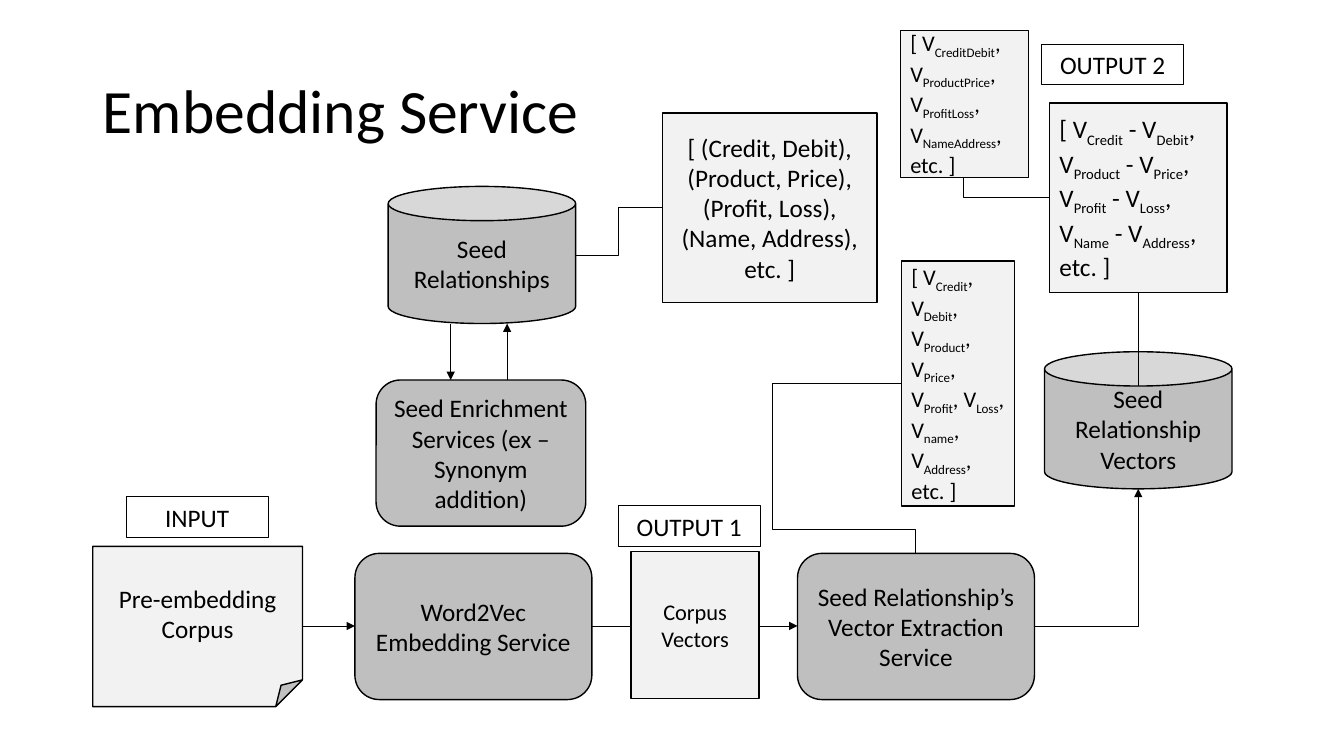
"""Builds the Embedding Service flow diagram slide."""
from typing import NamedTuple

from lxml import etree
from pptx import Presentation
from pptx.dml.color import RGBColor
from pptx.enum import shapes, text
from pptx.oxml.ns import qn
from pptx.util import Inches, Pt

FONT = "Calibri"
BLACK, GREY, PALE = "000000", "BFBFBF", "F2F2F2"
KIND = shapes.MSO_SHAPE
CENTER, LEFT = text.PP_ALIGN.CENTER, text.PP_ALIGN.LEFT
SERVICE_TOP, SERVICE_HEIGHT, FLOW_Y = 5.49, 1.45, 6.21
VECTORS_X = 11.29


class Node(NamedTuple):
    """A filled shape; text between bars is subscript."""
    wording: str
    left: float
    top: float
    width: float
    height: float
    kind: KIND = KIND.RECTANGLE
    fill: str = PALE
    size: int = 18
    align: text.PP_ALIGN = CENTER


class Link(NamedTuple):
    """A connector with its preset geometry and adjustments."""
    start: tuple[float, float]
    end: tuple[float, float]
    arrow: bool = False
    preset: str = "line"
    adjustments: tuple[int, ...] = ()


class Label(NamedTuple):
    """An outlined caption box."""
    wording: str
    left: float
    top: float


SERVICES = [
    Node("Seed Relationships", 3.85, 1.85, 1.86, 1.36, KIND.CAN, GREY),
    Node("Seed Relationship Vectors", 10.36, 3.49, 1.86, 1.36, KIND.CAN, GREY),
    Node("Seed Enrichment Services (ex – Synonym addition)",
         3.73, 3.77, 2.08, SERVICE_HEIGHT, KIND.ROUNDED_RECTANGLE, GREY),
    Node("Word2Vec Embedding Service",
         3.52, SERVICE_TOP, 2.35, SERVICE_HEIGHT, KIND.ROUNDED_RECTANGLE, GREY),
    Node("Seed Relationship’s Vector Extraction Service",
         7.91, SERVICE_TOP, 2.35, SERVICE_HEIGHT, KIND.ROUNDED_RECTANGLE, GREY),
]
LINKS = [
    Link((5.7, 2.53), (6.57, 2.06), preset="bentConnector3"),
    Link((4.47, 3.21), (4.47, 3.77), True),
    Link((5.03, 3.77), (5.03, 3.21), True),
    Link((3, FLOW_Y), (3.52, FLOW_Y), True),
    Link((5.87, FLOW_Y), (7.91, FLOW_Y), True),
    Link((10.26, FLOW_Y), (VECTORS_X, 4.85), True, "bentConnector2"),
    Link((VECTORS_X, 3.83), (VECTORS_X, 2.89)),
    Link((8.94, 3.8), (9.08, SERVICE_TOP), False, "bentConnector4", (-914000, 86000)),
    Link((10.41, 1.96), (9.56, 1.76), preset="bentConnector2"),
]
DATA = [
    Node("Pre-embedding Corpus", 0.92, 5.42, 2.08, 1.59, KIND.FOLDED_CORNER),
    Node("[ (Credit, Debit), (Product, Price), (Profit, Loss), (Name, Address), etc. ]",
         6.57, 1.12, 2.13, 1.88),
    Node("[ V|Credit| - V|Debit|, V|Product| - V|Price|, V|Profit| - V|Loss|, "
         "V|Name| - V|Address|, etc. ]", 10.41, 1.02, 1.76, 1.88, align=LEFT),
    Node("[ V|Credit|, V|Debit|, V|Product|, V|Price|, V|Profit|, V|Loss|, "
         "V|name|, V|Address|, etc. ]", 8.94, 2.59, 1.12, 2.43, size=16, align=LEFT),
    Node("[ V|CreditDebit|, V|ProductPrice|, V|ProfitLoss|, V|NameAddress|, etc. ]",
         8.93, 0.3, 1.27, 1.46, size=16, align=LEFT),
    Node("Corpus Vectors", 6.26, 5.47, 1.27, 1.46, size=16),
]
LABELS = [Label("INPUT", 1.25, 4.93), Label("OUTPUT 1", 6.13, 5.02),
          Label("OUTPUT 2", 10.33, 0.44)]


def color(value: str) -> RGBColor:
    """Turn a hex string into a colour."""
    return RGBColor.from_string(value)


def outline(line, width: float) -> None:
    """Give a line its black colour and width."""
    line.color.rgb = color(BLACK)
    line.width = Pt(width)


def write(paragraph, wording: str, size: int, align: text.PP_ALIGN) -> None:
    """Fill a paragraph, lowering the parts between bars."""
    paragraph.alignment = align
    for index, part in enumerate(wording.split("|")):
        run = paragraph.add_run()
        run.text = part
        run.font.name, run.font.size = FONT, Pt(size)
        run.font.color.rgb = color(BLACK)
        if index % 2:
            run.font._element.set("baseline", "-25000")


def draw_node(slide, node: Node) -> None:
    """Draw a filled shape with its text."""
    shape = slide.shapes.add_shape(node.kind, Inches(node.left), Inches(node.top),
                                   Inches(node.width), Inches(node.height))
    shape.shadow.inherit = False
    shape.fill.solid()
    shape.fill.fore_color.rgb = color(node.fill)
    outline(shape.line, 1)
    frame = shape.text_frame
    frame.word_wrap = True
    frame.vertical_anchor = text.MSO_ANCHOR.MIDDLE
    write(frame.paragraphs[0], node.wording, node.size, node.align)


def draw_link(slide, link: Link) -> None:
    """Draw a straight or bent connector."""
    kind = shapes.MSO_CONNECTOR.STRAIGHT if link.preset == "line" else shapes.MSO_CONNECTOR.ELBOW
    connector = slide.shapes.add_connector(kind, *map(Inches, link.start + link.end))
    outline(connector.line, 0.5)
    properties = connector._element.spPr
    geometry = properties.find(qn("a:prstGeom"))
    geometry.set("prst", link.preset)
    guides = geometry.find(qn("a:avLst"))
    for number, value in enumerate(link.adjustments, 1):
        etree.SubElement(guides, qn("a:gd"), name=f"adj{number}", fmla=f"val {value}")
    if link.arrow:
        etree.SubElement(properties.find(qn("a:ln")), qn("a:tailEnd"), type="triangle")
    etree.SubElement(properties, qn("a:effectLst"))


def draw_label(slide, label: Label) -> None:
    """Draw an outlined caption."""
    box = slide.shapes.add_textbox(Inches(label.left), Inches(label.top), Inches(1.41), Inches(0.4))
    outline(box.line, 0.75)
    box.text_frame.word_wrap = True
    box.text_frame.auto_size = text.MSO_AUTO_SIZE.SHAPE_TO_FIT_TEXT
    write(box.text_frame.paragraphs[0], label.wording, 18, CENTER)


def draw_title(slide) -> None:
    """Place and format the title."""
    title = slide.shapes.title
    title.left, title.top = Inches(0.92), Inches(0.4)
    title.width, title.height = Inches(11.5), Inches(1.45)
    title.text_frame.vertical_anchor = text.MSO_ANCHOR.MIDDLE
    paragraph = title.text_frame.paragraphs[0]
    paragraph.line_spacing = 0.9
    write(paragraph, "Embedding Service", 44, LEFT)


def main() -> None:
    """Build and save the slide."""
    presentation = Presentation()
    presentation.slide_width, presentation.slide_height = Inches(13.33), Inches(7.5)
    slide = presentation.slides.add_slide(presentation.slide_layouts[5])
    draw_title(slide)
    for service in SERVICES:
        draw_node(slide, service)
    for link in LINKS:
        draw_link(slide, link)
    for data in DATA:
        draw_node(slide, data)
    for label in LABELS:
        draw_label(slide, label)
    presentation.save("out.pptx")


main()
